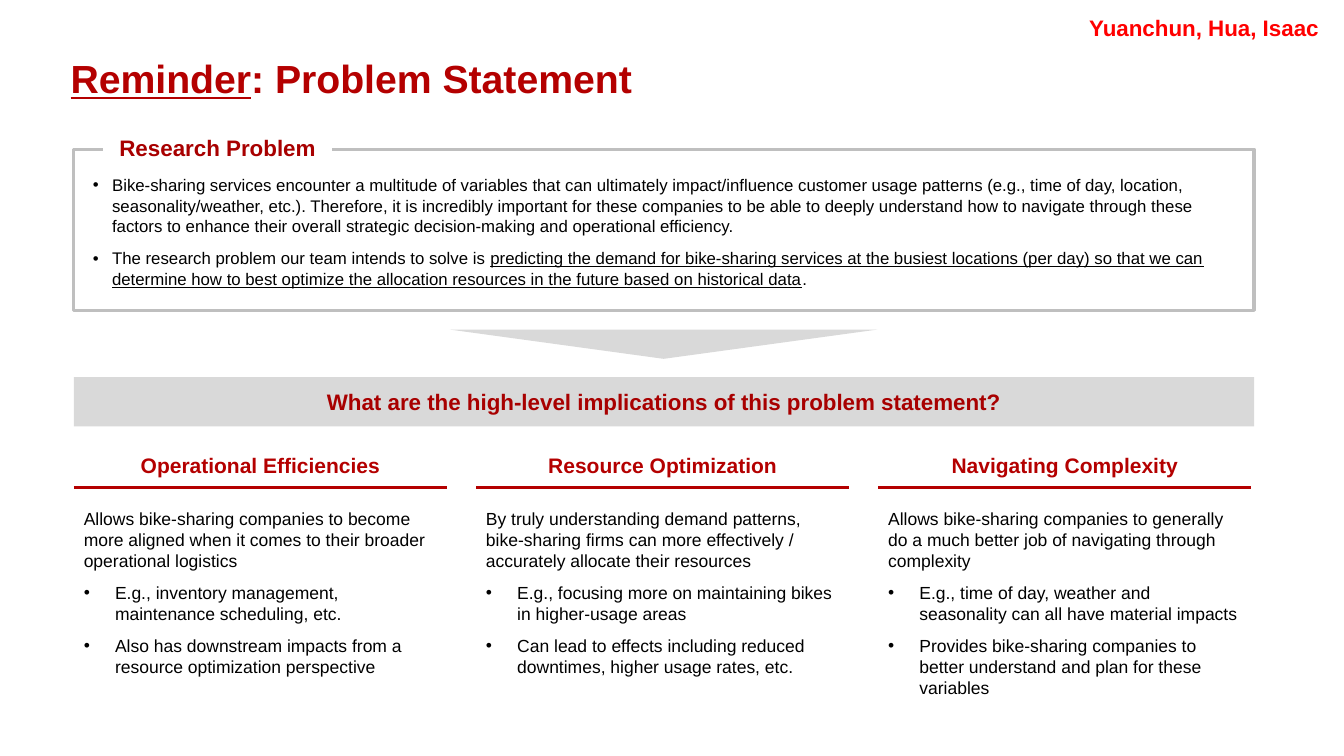
from dataclasses import dataclass

from lxml import etree
from pptx import Presentation
from pptx import util as u
from pptx.dml import color
from pptx.enum import shapes, text
from pptx.oxml import ns

SLIDE_WIDTH, SLIDE_HEIGHT = u.Inches(13.33), u.Inches(7.5)
GRID_COLUMNS, GRID_ROWS = 160, 90


@dataclass(frozen=True)
class Theme:
    font: str = "Arial"
    title_red: str = "B40000"
    heading_red: str = "A80000"
    name_red: str = "FF0000"
    black: str = "000000"
    white: str = "FFFFFF"
    border_grey: str = "BFBFBF"
    fill_grey: str = "D9D9D9"
    title_size: float = 28
    heading_size: float = 16
    column_heading_size: float = 15
    column_size: float = 12.5
    problem_size: float = 12
    rule_width: float = 2.25


THEME = Theme()


@dataclass(frozen=True)
class Box:
    left: float
    top: float
    width: float
    height: float

    def region(self, left, top, width, height):
        return Box(self.left + left, self.top + top, width, height)

    def columns(self, count, gap):
        width = (self.width - gap * (count - 1)) / count
        return [self.region(i * (width + gap), 0, width, self.height) for i in range(count)]

    def emu(self):
        column, row = SLIDE_WIDTH / GRID_COLUMNS, SLIDE_HEIGHT / GRID_ROWS
        return [round(length * unit) for length, unit in
                zip((self.left, self.top, self.width, self.height), (column, row, column, row))]


PAGE = Box(0, 0, GRID_COLUMNS, GRID_ROWS)

PROBLEM = [
    [("Bike-sharing services encounter a multitude of variables that can ultimately impact/influence "
      "customer usage patterns (e.g., time of day, location, seasonality/weather, etc.). Therefore, it is "
      "incredibly important for these companies to be able to deeply understand how to navigate through "
      "these factors to enhance their overall strategic decision-making and operational efficiency.", False)],
    [("The research problem our team intends to solve is ", False),
     ("predicting the demand for bike-sharing services at the busiest locations (per day) so that we can "
      "determine how to best optimize the allocation resources in the future based on historical data", True),
     (".", False)],
]

IMPLICATIONS = [
    ("Operational Efficiencies",
     "Allows bike-sharing companies to become more aligned when it comes to their broader operational logistics",
     ["E.g., inventory management, maintenance scheduling, etc.",
      "Also has downstream impacts from a resource optimization perspective"]),
    ("Resource Optimization",
     "By truly understanding demand patterns, bike-sharing firms can more effectively / accurately allocate "
     "their resources",
     ["E.g., focusing more on maintaining bikes in higher-usage areas",
      "Can lead to effects including reduced downtimes, higher usage rates, etc."]),
    ("Navigating Complexity",
     "Allows bike-sharing companies to generally do a much better job of navigating through complexity",
     ["E.g., time of day, weather and seasonality can all have material impacts",
      "Provides bike-sharing companies to better understand and plan for these variables"]),
]


def rgb(value):
    return color.RGBColor.from_string(value)


def add_run(paragraph, words, size, ink, bold=False, underline=False):
    run = paragraph.add_run()
    run.text = words
    run.font.name = THEME.font
    run.font.size = u.Pt(size)
    run.font.color.rgb = rgb(ink)
    run.font.bold = bold
    run.font.underline = underline


def add_bullet(paragraph, indent):
    properties = paragraph._p.get_or_add_pPr()
    properties.set("marL", str(u.Inches(indent)))
    properties.set("indent", str(-u.Inches(indent)))
    etree.SubElement(properties, ns.qn("a:buFont"), typeface=THEME.font)
    etree.SubElement(properties, ns.qn("a:buChar"), char="•")


def add_shape(slide, box, kind=shapes.MSO_SHAPE.RECTANGLE, fill=None, line=None):
    shape = slide.shapes.add_shape(kind, *box.emu())
    shape.shadow.inherit = False
    if fill:
        shape.fill.solid()
        shape.fill.fore_color.rgb = rgb(fill)
    else:
        shape.fill.background()
    if line:
        shape.line.color.rgb = rgb(line)
        shape.line.width = u.Pt(THEME.rule_width)
    else:
        shape.line.fill.background()
    return shape


def add_text_frame(slide, box, anchor=text.MSO_ANCHOR.MIDDLE):
    frame = slide.shapes.add_textbox(*box.emu()).text_frame
    frame.word_wrap = True
    frame.vertical_anchor = anchor
    return frame


def add_heading(frame, words, size, ink):
    frame.paragraphs[0].alignment = text.PP_ALIGN.CENTER
    add_run(frame.paragraphs[0], words, size, ink, bold=True)


def add_title(slide, box):
    title = slide.shapes.title
    title.left, title.top, title.width, title.height = box.emu()
    frame = title.text_frame
    frame.auto_size = text.MSO_AUTO_SIZE.NONE
    frame.vertical_anchor = text.MSO_ANCHOR.MIDDLE
    paragraph = frame.paragraphs[0]
    paragraph.alignment = text.PP_ALIGN.LEFT
    paragraph.line_spacing = 0.9
    for words, underline in (("Reminder", True), (": Problem Statement", False)):
        add_run(paragraph, words, THEME.title_size, THEME.title_red, True, underline)


def add_problem(slide, box):
    add_shape(slide, box, line=THEME.border_grey)
    label = add_shape(slide, box.region(3.48, -2.4, 27.24, 4.32), fill=THEME.white)
    add_heading(label.text_frame, "Research Problem", THEME.heading_size, THEME.heading_red)
    frame = add_text_frame(slide, box.region(1.08, 0.84, box.width - 2.28, box.height - 1.2))
    for index, runs in enumerate(PROBLEM):
        paragraph = frame.add_paragraph() if index else frame.paragraphs[0]
        paragraph.space_before = u.Pt(9 if index else 0)
        add_bullet(paragraph, 0.19)
        for words, underline in runs:
            add_run(paragraph, words, THEME.problem_size, THEME.black, underline=underline)


def add_question(slide, box):
    arrow = add_shape(slide, box.region(44.76, 0, 50.88, 3.48),
                      shapes.MSO_SHAPE.ISOSCELES_TRIANGLE, THEME.fill_grey)
    arrow.rotation = 180
    banner = add_shape(slide, box.region(0, 5.64, box.width, box.height - 5.64), fill=THEME.fill_grey)
    add_heading(banner.text_frame, "What are the high-level implications of this problem statement?",
                THEME.heading_size, THEME.heading_red)


def add_implication(slide, box, heading, summary, examples):
    left, top, width, _ = box.region(0, 5.76, box.width, 0).emu()
    rule = slide.shapes.add_connector(shapes.MSO_CONNECTOR.STRAIGHT, left, top, left + width, top)
    rule.line.color.rgb = rgb(THEME.title_red)
    rule.line.width = u.Pt(THEME.rule_width)
    etree.SubElement(rule._element.spPr, ns.qn("a:effectLst"))
    header = add_text_frame(slide, box.region(0, 0, box.width, 6.12))
    add_heading(header, heading, THEME.column_heading_size, THEME.title_red)
    frame = add_text_frame(slide, box.region(0, 7.56, box.width, box.height - 7.56), text.MSO_ANCHOR.TOP)
    for index, words in enumerate([summary, *examples]):
        paragraph = frame.add_paragraph() if index else frame.paragraphs[0]
        paragraph.space_after = u.Pt(8)
        if index:
            add_bullet(paragraph, 0.31)
        add_run(paragraph, words, THEME.column_size, THEME.black)


def add_names(slide, box):
    add_heading(add_text_frame(slide, box), "Yuanchun, Hua, Isaac", THEME.heading_size, THEME.name_red)


def main():
    presentation = Presentation()
    presentation.slide_width, presentation.slide_height = SLIDE_WIDTH, SLIDE_HEIGHT
    slide = presentation.slides.add_slide(presentation.slide_layouts[5])
    add_title(slide, PAGE.region(7.2, 4.8, 141.96, 9.72))
    add_problem(slide, PAGE.region(8.8, 17.76, 140.5, 19.2))
    add_question(slide, PAGE.region(8.8, 39.24, 140.5, 11.52))
    columns = PAGE.region(8.8, 52.32, 140.16, 33.72).columns(len(IMPLICATIONS), 3.48)
    for box, implication in zip(columns, IMPLICATIONS):
        add_implication(slide, box, *implication)
    add_names(slide, PAGE.region(127.14, 0.72, 32.4, 5.04))
    presentation.save("out.pptx")


if __name__ == "__main__":
    main()
